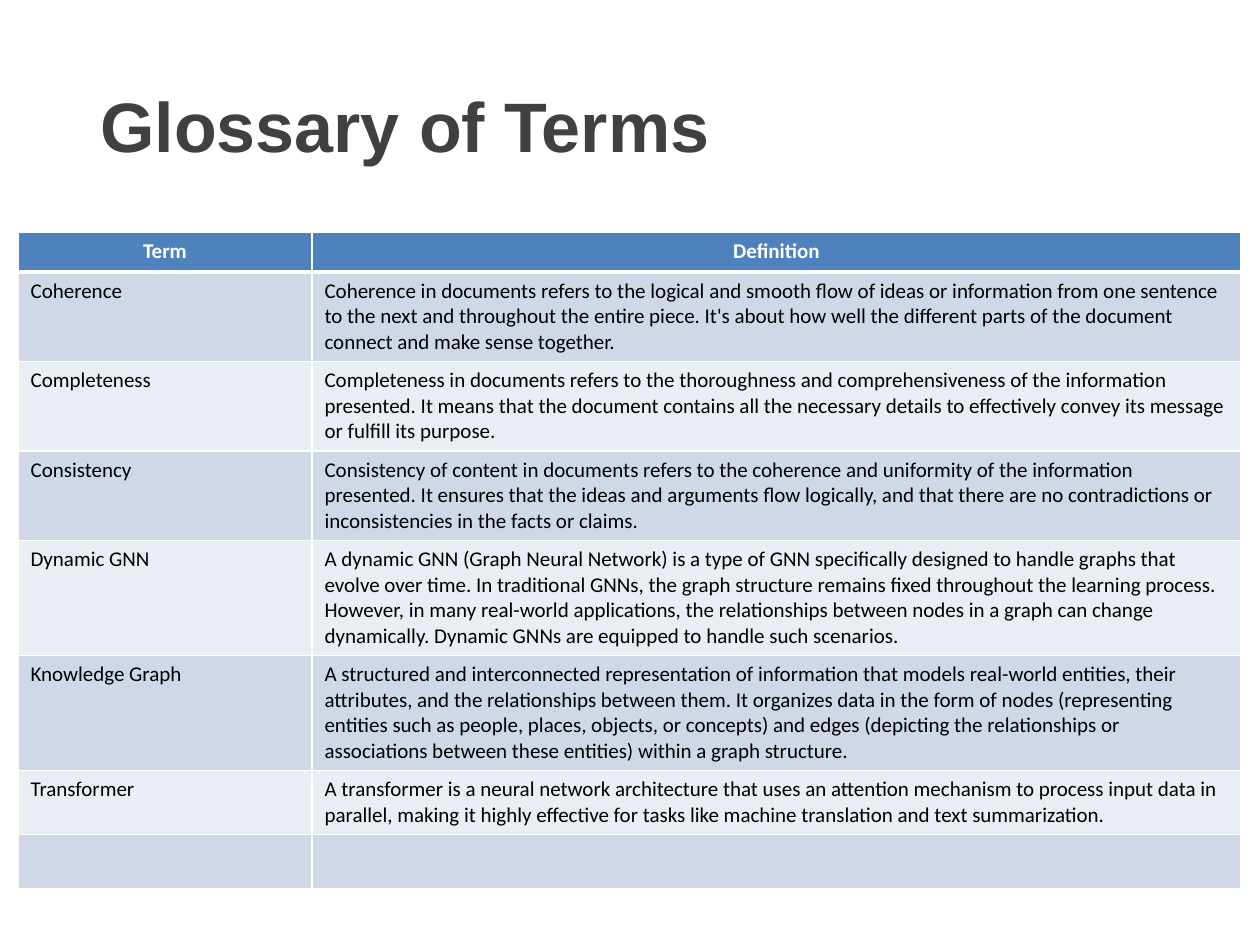
from lxml.etree import SubElement
from pptx import Presentation
from pptx.dml.color import RGBColor
from pptx.enum.text import MSO_ANCHOR, PP_ALIGN
from pptx.oxml.ns import qn
from pptx.util import Emu, Pt

EMU_PER_INCH = 914400
PX_PER_INCH = 126
COLORS = {
    "title": "404040",
    "header": "4F81BD",
    "odd": "D0D8E8",
    "even": "E9EDF4",
    "text": "000000",
    "white": "FFFFFF",
}
COLUMN_WIDTHS = [294, 929]
ROW_HEIGHTS = [40, 89, 89, 89, 115, 115, 64, 54]
HEADER = ("Term", "Definition")
GLOSSARY = [
    ("Coherence",
     "Coherence in documents refers to the logical and smooth flow of ideas or information "
     "from one sentence to the next and throughout the entire piece. It's about how well the "
     "different parts of the document connect and make sense together."),
    ("Completeness",
     "Completeness in documents refers to the thoroughness and comprehensiveness of the "
     "information presented. It means that the document contains all the necessary details "
     "to effectively convey its message or fulfill its purpose."),
    ("Consistency",
     "Consistency of content in documents refers to the coherence and uniformity of the "
     "information presented. It ensures that the ideas and arguments flow logically, and that "
     "there are no contradictions or inconsistencies in the facts or claims."),
    ("Dynamic GNN",
     "A dynamic GNN (Graph Neural Network) is a type of GNN specifically designed to handle "
     "graphs that evolve over time. In traditional GNNs, the graph structure remains fixed "
     "throughout the learning process. However, in many real-world applications, the "
     "relationships between nodes in a graph can change dynamically. Dynamic GNNs are "
     "equipped to handle such scenarios."),
    ("Knowledge Graph",
     "A structured and interconnected representation of information that models real-world "
     "entities, their attributes, and the relationships between them. It organizes data in "
     "the form of nodes (representing entities such as people, places, objects, or concepts) "
     "and edges (depicting the relationships or associations between these entities) within "
     "a graph structure."),
    ("Transformer",
     "A transformer is a neural network architecture that uses an attention mechanism to "
     "process input data in parallel, making it highly effective for tasks like machine "
     "translation and text summarization."),
    ("", ""),
]


def px(length):
    return Emu(round(length * EMU_PER_INCH / PX_PER_INCH))


def color(name):
    return RGBColor.from_string(COLORS[name])


def add_span(paragraph, text, font, size, color_name, bold=False):
    span = paragraph.add_run()
    span.text = text
    span.font.name = font
    span.font.size = Pt(size)
    span.font.bold = bold
    span.font.color.rgb = color(color_name)


def add_title(page, text):
    box = page.shapes.add_textbox(px(88), px(69), px(1085), px(145))
    frame = box.text_frame
    frame.word_wrap = True
    frame.vertical_anchor = MSO_ANCHOR.TOP
    frame.margin_top = px(14)
    add_span(frame.paragraphs[0], text, "Arial", 40, "title", True)


def set_borders(cell, bottom_width):
    properties = cell._tc.get_or_add_tcPr()
    widths = {"a:lnL": 1, "a:lnR": 1, "a:lnT": 1, "a:lnB": bottom_width}
    for tag, width in widths.items():
        line = SubElement(properties, qn(tag), w=str(Pt(width)))
        fill = SubElement(line, qn("a:solidFill"))
        SubElement(fill, qn("a:srgbClr"), val=COLORS["white"])


def fill_cell(cell, text, fill_name, is_header):
    set_borders(cell, 3 if is_header else 1)
    cell.fill.solid()
    cell.fill.fore_color.rgb = color(fill_name)
    paragraph = cell.text_frame.paragraphs[0]
    paragraph.font.size = Pt(12)
    if is_header:
        paragraph.alignment = PP_ALIGN.CENTER
    if text:
        add_span(paragraph, text, "Calibri", 12, "white" if is_header else "text", is_header)


def add_glossary(page):
    rows = [HEADER] + GLOSSARY
    table = page.shapes.add_table(
        len(rows), len(HEADER), px(18), px(232), px(sum(COLUMN_WIDTHS)), px(sum(ROW_HEIGHTS))
    ).table
    for column, width in zip(table.columns, COLUMN_WIDTHS):
        column.width = px(width)
    for index, (row, height, texts) in enumerate(zip(table.rows, ROW_HEIGHTS, rows)):
        row.height = px(height)
        is_header = index == 0
        fill_name = "header" if is_header else "odd" if index % 2 else "even"
        for cell, text in zip(row.cells, texts):
            fill_cell(cell, text, fill_name, is_header)


def main():
    deck = Presentation()
    deck.slide_width, deck.slide_height = px(1260), px(945)
    page = deck.slides.add_slide(deck.slide_layouts[6])
    add_glossary(page)
    add_title(page, "Glossary of Terms")
    deck.save("out.pptx")


if __name__ == "__main__":
    main()
